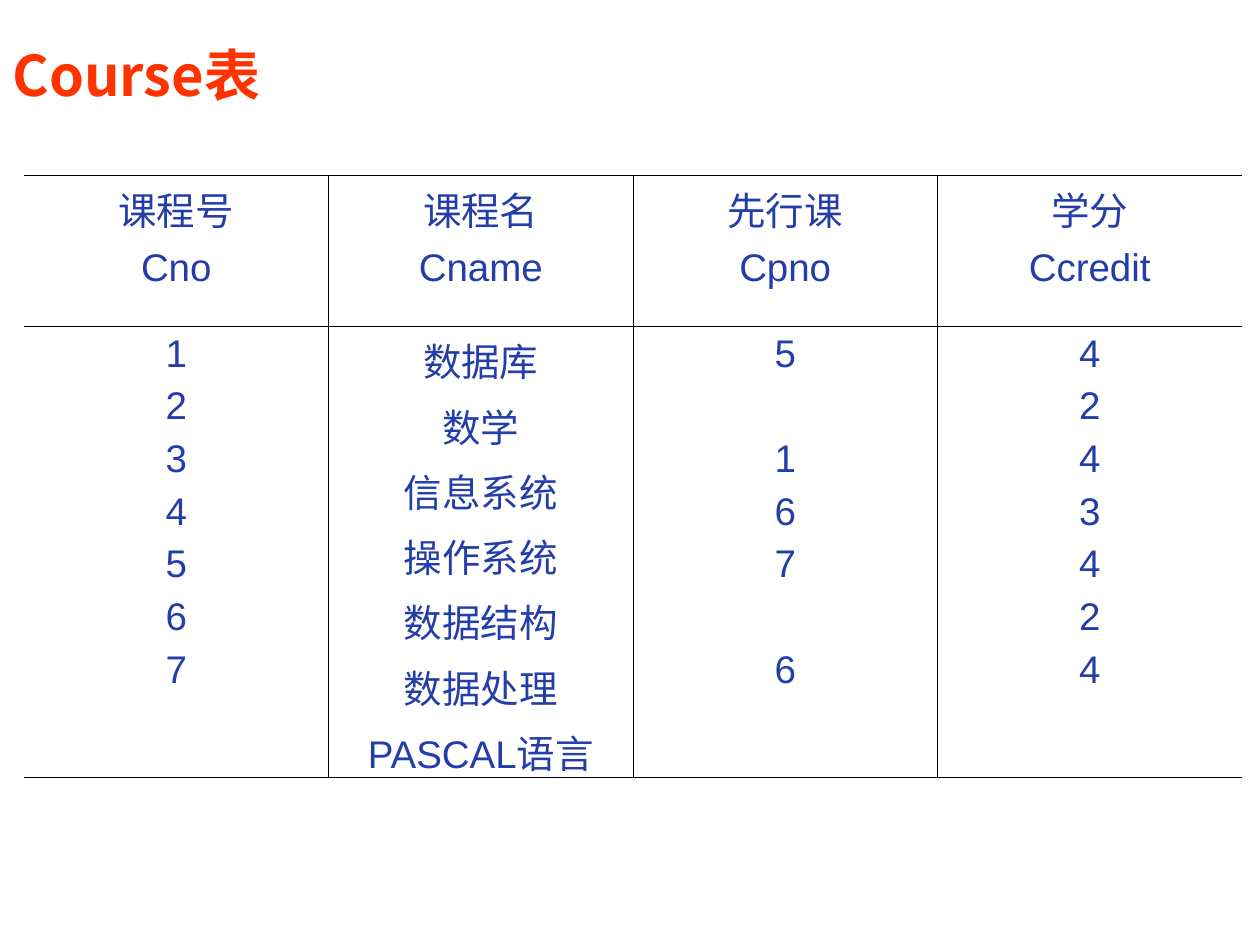
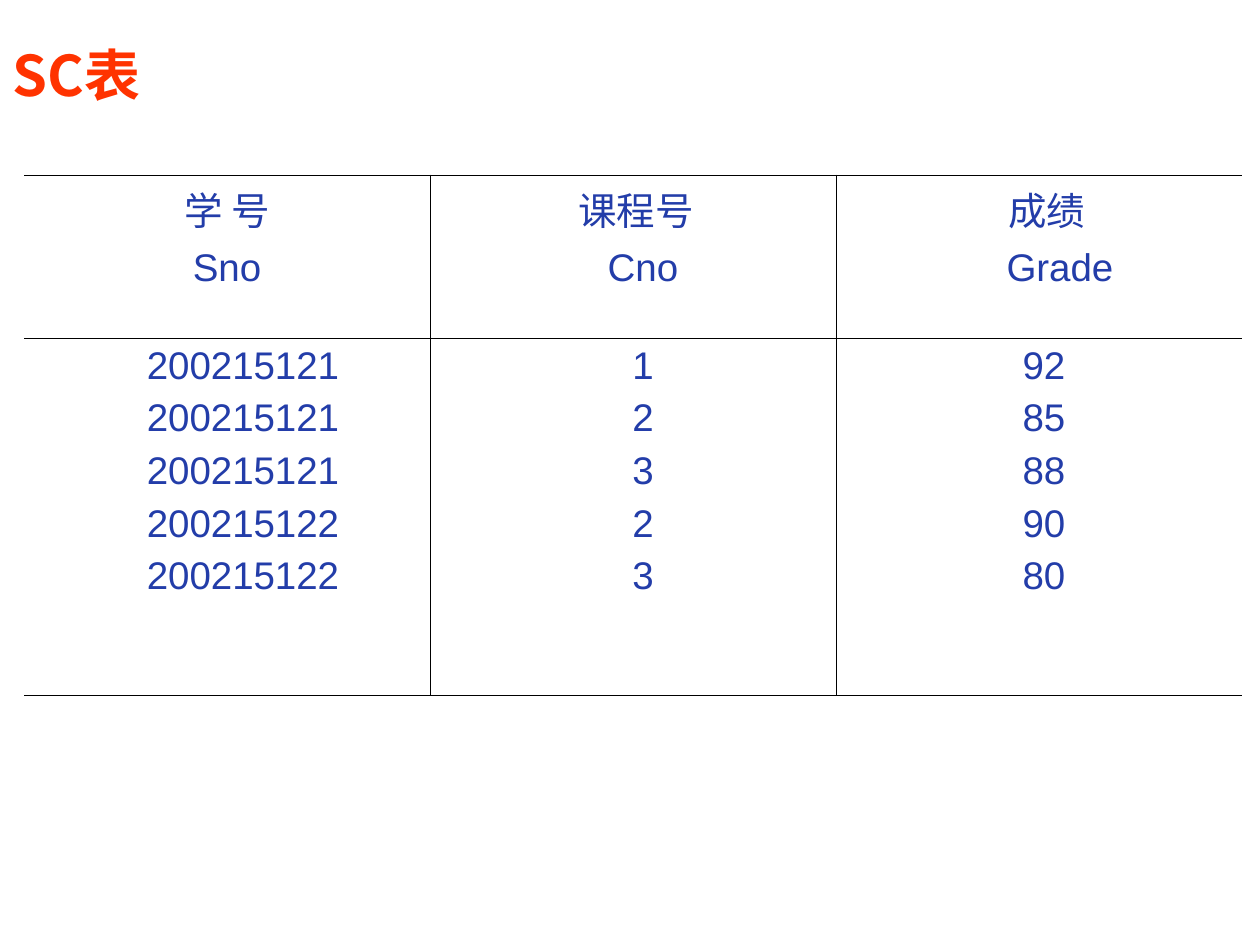
import pptx
import pptx.dml.color
import pptx.enum.text
import pptx.oxml.ns
import pptx.util
from lxml import etree

SCALE = 914400 / 126
RED, BLUE, BLACK = "FF3300", "233DA9", "000000"
SANS, HAN = "Arial", "Noto Sans CJK SC"
GAP = 5.5     # points between lines of a cell
PITCH = 30.1  # points from one number to the next
EDGE = 5715   # border width in EMU

qn = pptx.oxml.ns.qn


def px(num):
    return pptx.util.Emu(round(num * SCALE))


def color(hexa):
    return pptx.dml.color.RGBColor.from_string(hexa)


def style(para, face, size, hexa, bold=False):
    font = para.font
    font.name, font.size, font.bold = face, pptx.util.Pt(size), bold
    font.color.rgb = color(hexa)
    props = para._p.pPr.find(qn("a:defRPr"))
    props.find(qn("a:latin")).addnext(
        etree.Element(qn("a:ea"), typeface=HAN))


def title(slide, text):
    frame = slide.shapes.add_textbox(px(0), px(35), px(1018), px(78)).text_frame
    frame.word_wrap = True
    frame.vertical_anchor = pptx.enum.text.MSO_ANCHOR.MIDDLE
    para = frame.paragraphs[0]
    para.text = text
    style(para, HAN, 32, RED, True)


def border(cell, side, shown):
    props = cell._tc.get_or_add_tcPr()
    line = etree.SubElement(props, qn("a:ln" + side), w=str(EDGE if shown else 0))
    if shown:
        fill = etree.SubElement(line, qn("a:solidFill"))
        etree.SubElement(fill, qn("a:srgbClr"), val=BLACK)
    else:
        etree.SubElement(line, qn("a:noFill"))


def write(cell, lines, shifts):
    """Centre the lines; None skips a line, a shift moves the centre right."""
    frame = cell.text_frame
    para, space = frame.paragraphs[0], 0
    for num, (line, shift) in enumerate(zip(lines, shifts)):
        if line is None:
            space += PITCH
            continue
        if num:
            para = frame.add_paragraph()
        para.text = line
        para.alignment = pptx.enum.text.PP_ALIGN.CENTER
        para.space_before = pptx.util.Pt(space)
        if shift:
            para._p.get_or_add_pPr().set("marL", str(px(2 * shift)))
        style(para, SANS, 22, BLUE)
        space = GAP


def grid(slide, highs, cols):
    """Each column: head lines, head shifts, body lines, body shift."""
    wide, last = px(1218), len(cols) - 1
    table = slide.shapes.add_table(
        2, len(cols), px(24), px(175), wide, px(sum(highs))).table
    table.first_row = table.horz_banding = False
    for row, high in zip(table.rows, highs):
        row.height = px(high)
    for pos, (head, moves, body, move) in enumerate(cols):
        table.columns[pos].width = wide // len(cols)
        parts = ((head, moves), (body, [move] * len(body)))
        for row, (lines, shifts) in enumerate(parts):
            cell = table.cell(row, pos)
            write(cell, lines, shifts)
            border(cell, "L", pos > 0)
            border(cell, "R", pos < last)
            border(cell, "T", True)
            border(cell, "B", True)
            cell.fill.background()


def main():
    deck = pptx.Presentation()
    deck.slide_width, deck.slide_height = px(1260), px(945)
    blank = deck.slide_layouts[6]

    # Courses
    slide = deck.slides.add_slide(blank)
    title(slide, "Course表")
    names = ["数据库", "数学", "信息系统", "操作系统",
             "数据结构", "数据处理", "PASCAL语言"]
    grid(slide, (151, 451), [
        (["课程号", "Cno"], (0, 0), list("1234567"), 0),
        (["课程名", "Cname"], (0, 0), names, 0),
        (["先行课", "Cpno"], (0, 0), ["5", None, "1", "6", "7", None, "6"], 0),
        (["学分", "Ccredit"], (0, 0), list("4243424"), 0),
    ])

    # Grades
    slide = deck.slides.add_slide(blank)
    title(slide, "SC表")
    grid(slide, (163, 357), [
        (["学 号", "Sno"], (0, 0), ["200215121"] * 3 + ["200215122"] * 2, 16),
        (["课程号", "Cno"], (3, 10), list("12323"), 10),
        (["成绩", "Grade"], (8, 21), ["92", "85", "88", "90", "80"], 5),
    ])

    deck.save("out.pptx")


if __name__ == "__main__":
    main()
